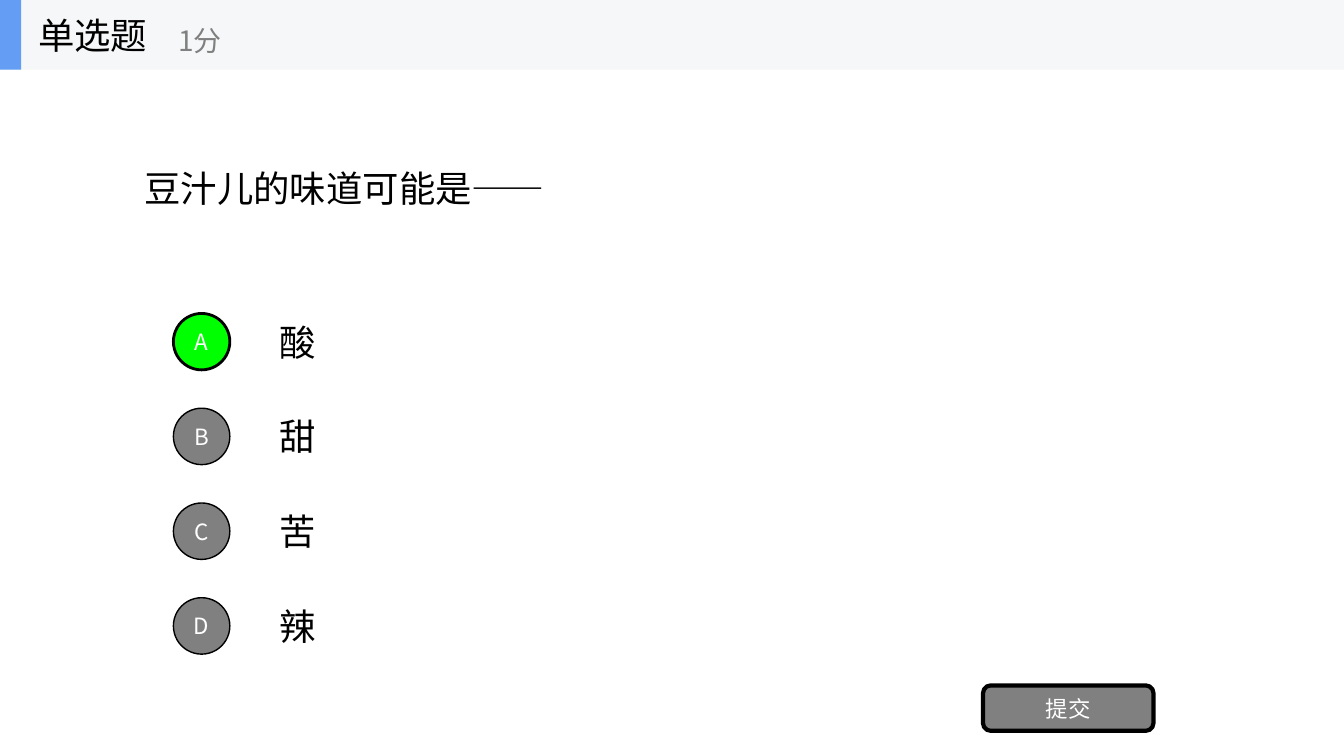
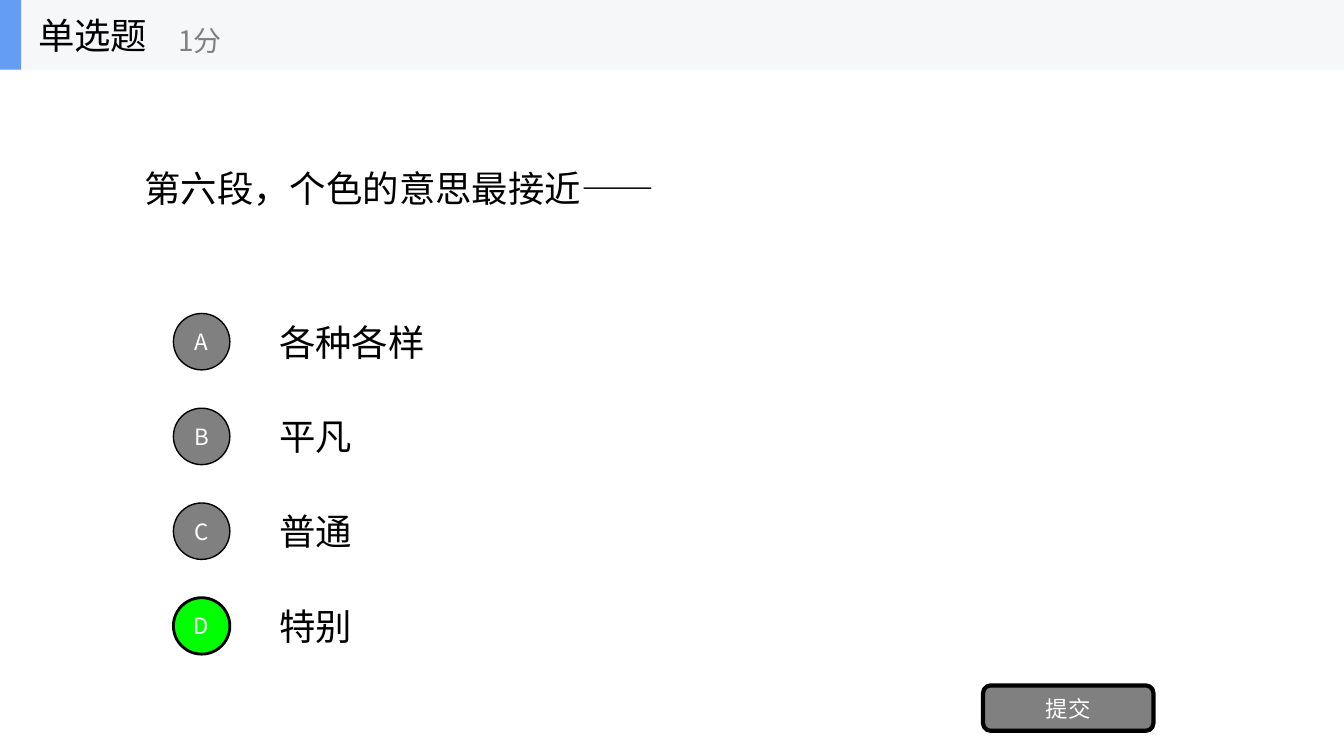
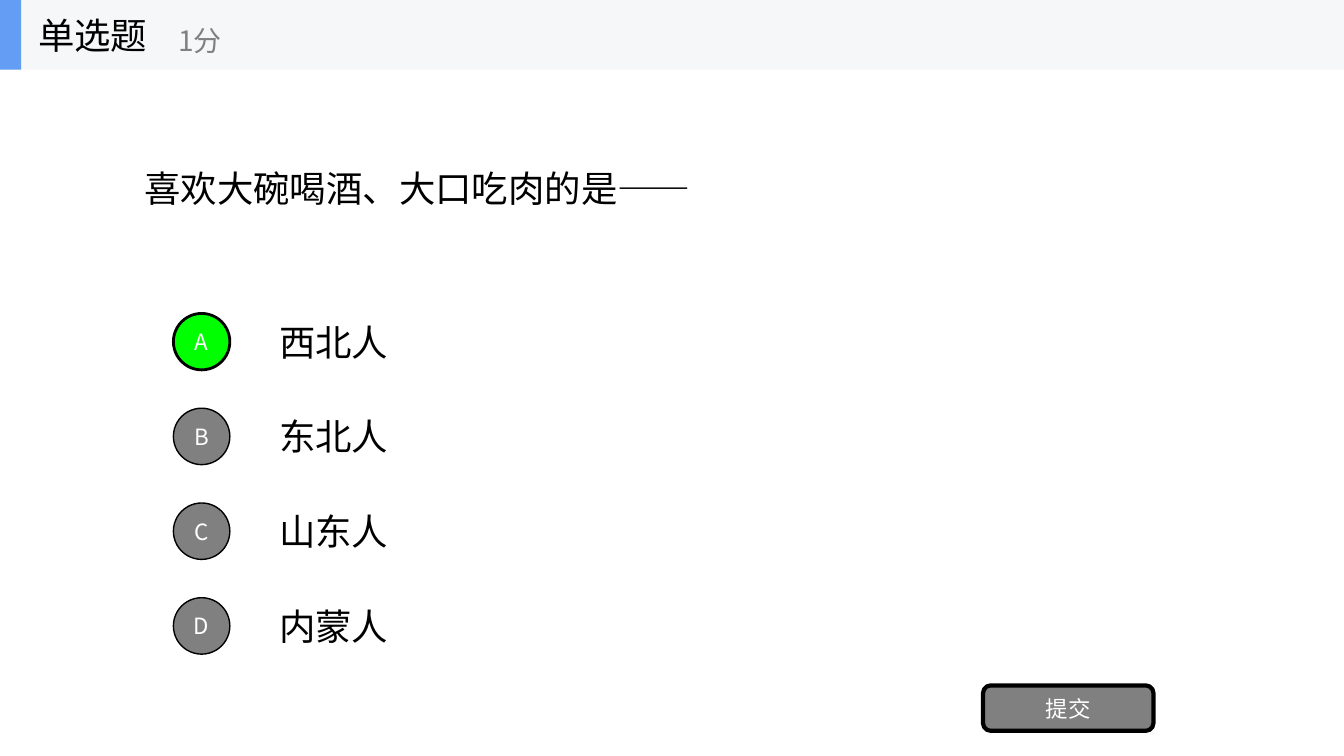
from dataclasses import dataclass

from lxml.etree import SubElement
from pptx import Presentation
from pptx.dml.color import RGBColor
from pptx.enum.shapes import MSO_SHAPE
from pptx.enum.text import MSO_ANCHOR, MSO_AUTO_SIZE, PP_ALIGN
from pptx.oxml.ns import qn
from pptx.util import Inches, Pt


@dataclass(frozen=True)
class Theme:
    font: str = "Noto Sans CJK SC"
    ink: str = "000000"
    white: str = "FFFFFF"
    grey: str = "808080"
    correct: str = "00FF00"
    band: str = "F6F7F8"
    accent: str = "639EF4"
    main_size: int = 26
    points_size: int = 20
    button_size: int = 16


theme = Theme()


def write(shape, text, size, color, align=PP_ALIGN.LEFT, margin=0.1):
    frame = shape.text_frame
    frame_format = {
        "word_wrap": True,
        "auto_size": MSO_AUTO_SIZE.NONE,
        "vertical_anchor": MSO_ANCHOR.MIDDLE,
        "margin_left": Inches(margin),
        "margin_right": Inches(margin),
        "margin_top": Inches(margin / 2),
        "margin_bottom": Inches(margin / 2),
    }
    for name, value in frame_format.items():
        setattr(frame, name, value)
    paragraph = frame.paragraphs[0]
    paragraph.alignment = align
    run = paragraph.add_run()
    run.text = text
    for name, value in {"name": theme.font, "size": Pt(size)}.items():
        setattr(run.font, name, value)
    run.font.color.rgb = RGBColor.from_string(color)
    SubElement(run.font._element, qn("a:ea"), typeface=theme.font)


def add_filled(shapes, preset, box, fill, line_width=0):
    shape = shapes.add_shape(preset, *map(Inches, box))
    shape.shadow.inherit = False
    shape.fill.solid()
    shape.fill.fore_color.rgb = RGBColor.from_string(fill)
    if line_width:
        shape.line.color.rgb = RGBColor.from_string(theme.ink)
        shape.line.width = Pt(line_width)
    else:
        shape.line.fill.background()
    return shape


questions = [
    ("豆汁儿的味道可能是——", ["酸", "甜", "苦", "辣"], "A"),
    ("第六段，个色的意思最接近——", ["各种各样", "平凡", "普通", "特别"], "D"),
    ("喜欢大碗喝酒、大口吃肉的是——", ["西北人", "东北人", "山东人", "内蒙人"], "A"),
]
question_place = {"left": 1.33, "top": 0.69, "width": 10.67, "height": 2.34}
header_bands = [
    ((0, 0, 13.33, 0.69), theme.band),
    ((0, 0, 0.21, 0.69), theme.accent),
]
header_labels = [
    ((0.28, 0, 2.08, 0.69), "单选题", theme.main_size, theme.ink),
    ((1.67, 0.12, 2.5, 0.56), "1分", theme.points_size, theme.grey),
]
first_option_top, option_pitch, option_height = 3.04, 0.94, 0.7
letter_size = 0.56
letter_inset = (option_height - letter_size) / 2

deck = Presentation()
deck.slide_width = Inches(13.33)
deck.slide_height = Inches(7.5)
title_only = deck.slide_layouts[5]

for question, options, answer in questions:
    slide = deck.slides.add_slide(title_only)
    title = slide.shapes.title
    for name, value in question_place.items():
        setattr(title, name, Inches(value))
    write(title, question, theme.main_size, theme.ink)

    for row, (letter, option) in enumerate(zip("ABCD", options)):
        top = first_option_top + row * option_pitch
        option_label = slide.shapes.add_textbox(
            Inches(2.67), Inches(top), Inches(9.33), Inches(option_height)
        )
        write(option_label, option, theme.main_size, theme.ink)
        fill, line_width = (theme.correct, 2) if letter == answer else (theme.grey, 1)
        letter_box = (1.72, top + letter_inset, letter_size, letter_size)
        choice = add_filled(slide.shapes, MSO_SHAPE.OVAL, letter_box, fill, line_width)
        write(choice, letter, theme.button_size, theme.white, PP_ALIGN.CENTER, 0)

    submit = add_filled(
        slide.shapes, MSO_SHAPE.ROUNDED_RECTANGLE, (9.75, 6.8, 1.69, 0.45), theme.grey, 3
    )
    write(submit, "提交", theme.button_size, theme.white, PP_ALIGN.CENTER, 0)

    header = slide.shapes.add_group_shape()
    for box, fill in header_bands:
        add_filled(header.shapes, MSO_SHAPE.RECTANGLE, box, fill)
    for box, text, size, color in header_labels:
        write(header.shapes.add_textbox(*map(Inches, box)), text, size, color)

deck.save("out.pptx")
